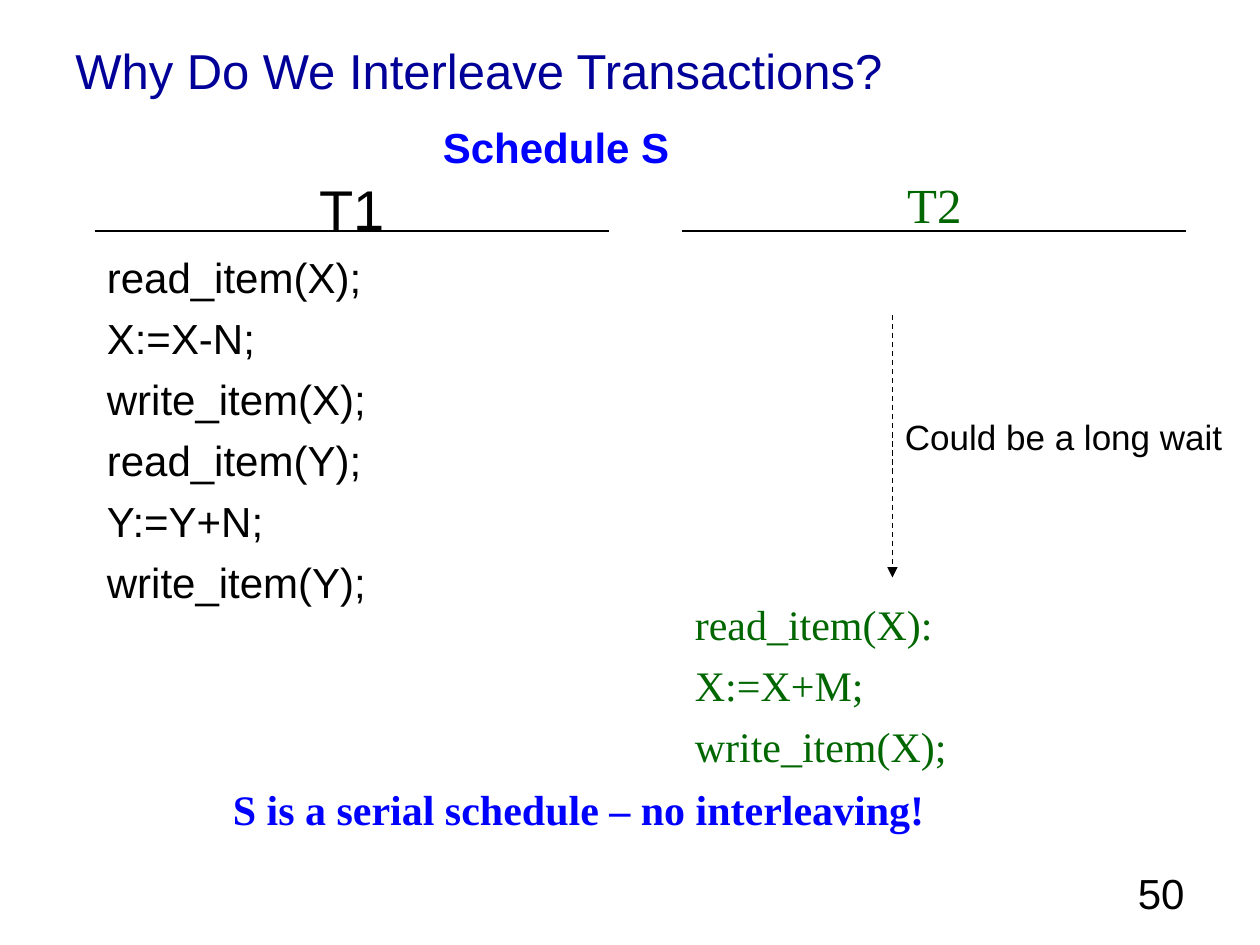
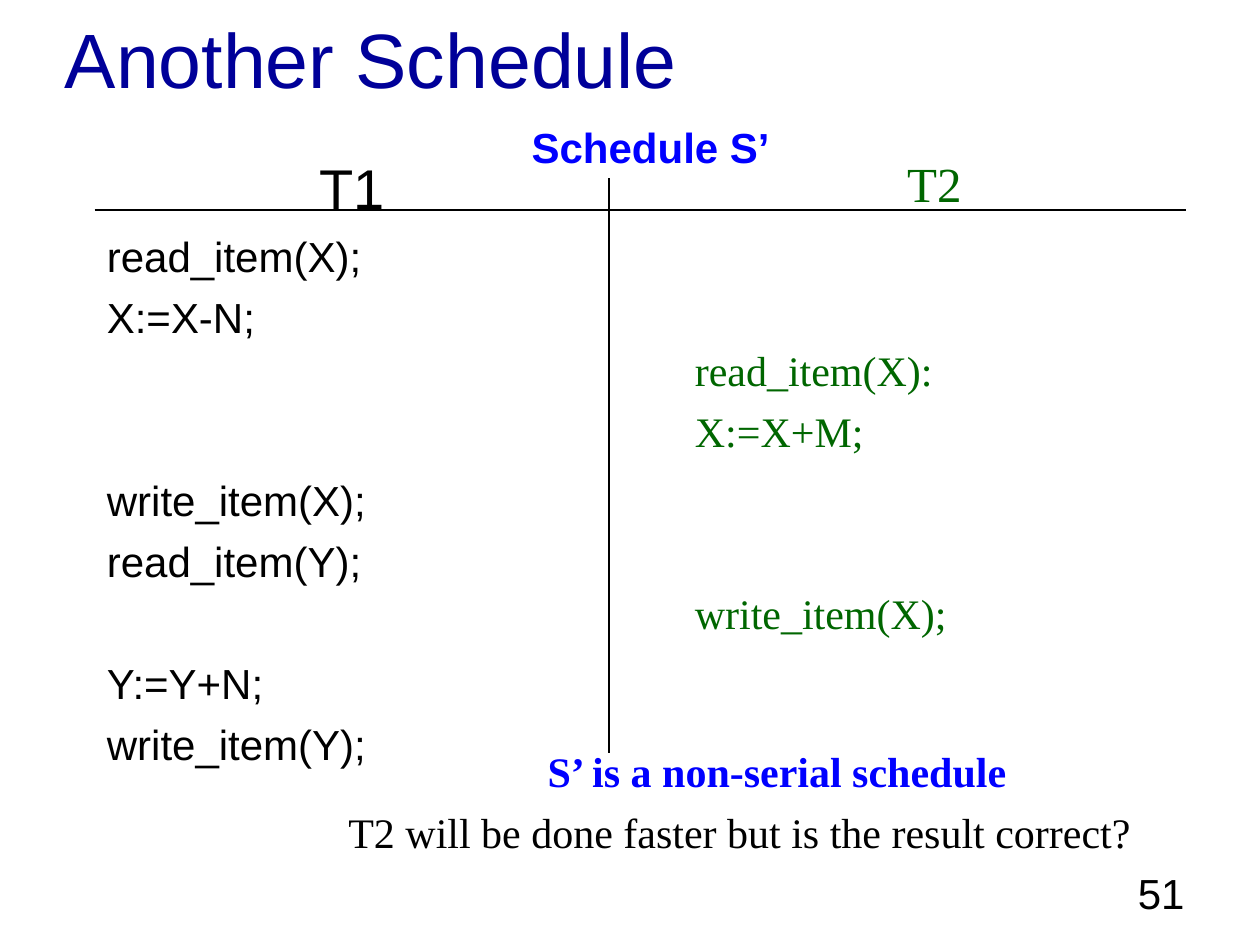
from lxml import etree
from pptx import Presentation
from pptx.dml.color import RGBColor
from pptx.enum.dml import MSO_LINE
from pptx.enum.shapes import MSO_CONNECTOR
from pptx.enum.text import MSO_ANCHOR, PP_ALIGN
from pptx.oxml.ns import qn
from pptx.util import Inches, Pt

LEFT, CENTER, RIGHT = PP_ALIGN.LEFT, PP_ALIGN.CENTER, PP_ALIGN.RIGHT
TOP, MIDDLE = MSO_ANCHOR.TOP, MSO_ANCHOR.MIDDLE
STRAIGHT, DASH = MSO_CONNECTOR.STRAIGHT, MSO_LINE.DASH
SANS, SERIF = "Arial", "Times New Roman"
NAVY, BLUE, GREEN, BLACK = "000099", "0000FF", "006600", "000000"

# The slide is a grid of 120 columns by 90 rows, each a twelfth of an inch.
CELL = Inches(1) / 12
T1_LEFT, T1_WIDTH = 9, 49
T2_LEFT, T2_WIDTH = 65, 48
T1_RIGHT, T2_RIGHT = T1_LEFT + T1_WIDTH, T2_LEFT + T2_WIDTH
CODE_SIZE = 24


def add_text(page, area, lines, font, anchor=TOP, spacing=None):
    """Each line is (text, size, colour, bold, alignment, points before)."""
    box = page.shapes.add_textbox(*(round(side * CELL) for side in area))
    frame = box.text_frame
    frame.word_wrap, frame.vertical_anchor = True, anchor
    for number, (text, size, colour, bold, align, before) in enumerate(lines):
        para = frame.add_paragraph() if number else frame.paragraphs[0]
        para.alignment, para.space_before = align, Pt(before)
        if spacing:
            para.line_spacing = spacing
        span = para.add_run()
        span.text = text
        span.font.name, span.font.size, span.font.bold = font, Pt(size), bold
        span.font.color.rgb = RGBColor.from_string(colour)


def add_line(page, ends, width=0.75, arrow=False):
    line = page.shapes.add_connector(STRAIGHT, *(round(end * CELL) for end in ends))
    line.line.color.rgb = RGBColor.from_string(BLACK)
    line.line.width = Pt(width)
    if arrow:
        line.line.dash_style = DASH
        etree.SubElement(line.line._get_or_add_ln(), qn("a:tailEnd"), type="triangle")
    etree.SubElement(line._element.spPr, qn("a:effectLst"))


deck = Presentation()
deck.slide_width, deck.slide_height = Inches(10), Inches(7.5)

# Steps are (statement, empty rows above it); row_size is the text size of an empty row.
schedules = [
    {"title": "Why Do We Interleave Transactions?", "title_area": (6, 3.6, 108, 6.1),
     "title_size": 28, "name": "Schedule S", "name_left": 41,
     "top": 16, "rule": 22, "rule_end": T1_RIGHT, "number": "50", "row_size": 28,
     "t1": [("read_item(X);", 0), ("X:=X-N;", 0), ("write_item(X);", 0),
            ("read_item(Y);", 0), ("Y:=Y+N;", 0), ("write_item(Y);", 0)],
     "t2": [("read_item(X):", 5), ("X:=X+M;", 0), ("write_item(X);", 0)]},
    {"title": "Another Schedule", "title_area": (5, 0, 108, 11),
     "title_size": 44, "name": "Schedule S’", "name_left": 49.45,
     "top": 14, "rule": 20, "rule_end": T2_LEFT, "number": "51", "row_size": 24,
     "t1": [("read_item(X);", 0), ("X:=X-N;", 0), ("write_item(X);", 2),
            ("read_item(Y);", 0), ("Y:=Y+N;", 1), ("write_item(Y);", 0)],
     "t2": [("read_item(X):", 2), ("X:=X+M;", 0), ("write_item(X);", 2)]},
]

pages = []
for schedule in schedules:
    page = deck.slides.add_slide(deck.slide_layouts[6])
    pages.append(page)
    add_text(page, schedule["title_area"],
             [(schedule["title"], schedule["title_size"], NAVY, False, LEFT, 0)],
             SANS, anchor=MIDDLE)
    add_text(page, (schedule["name_left"], 11, 28, 6),
             [(schedule["name"], 24, BLUE, True, LEFT, 0)], SANS)

    row_height = schedule["row_size"] * 1.45
    for key, head, size, left, width, height, font, colour in [
            ("t1", "T1", 32, T1_LEFT, T1_WIDTH, 59, SANS, BLACK),
            ("t2", "T2", 28, T2_LEFT, T2_WIDTH, 68, SERIF, GREEN)]:
        lines = [(head, size, colour, False, CENTER, size / 4)]
        for statement, empty_rows in schedule[key]:
            before = CODE_SIZE / 4 + empty_rows * row_height
            lines.append((statement, CODE_SIZE, colour, False, LEFT, before))
        add_text(page, (left, schedule["top"], width, height), lines, font)

    rule = schedule["rule"]
    add_line(page, (T1_LEFT, rule, schedule["rule_end"], rule))
    add_line(page, (T2_LEFT, rule, T2_RIGHT, rule))
    add_text(page, (86, 82, 28, 6.2),
             [(schedule["number"], 24, BLACK, False, RIGHT, 0)], SANS)

serial, interleaved = pages

add_line(serial, (85, 30, 85, 55), arrow=True)
add_text(serial, (85, 39, 35, 5.3),
         [("Could be a long wait", 20, BLACK, False, LEFT, 0)], SANS)
add_text(serial, (21, 74, 74, 6),
         [("S is a serial schedule – no interleaving!", 24, BLUE, True, LEFT, 15)], SERIF)

add_line(interleaved, (T1_RIGHT, 17, T1_RIGHT, 71.7), width=1)
add_text(interleaved, (32, 71.7, 85, 10.4),
         [("S’ is a non-serial schedule ", 24, BLUE, True, CENTER, 15),
          ("T2 will be done faster but is the result correct?", 24, BLACK, False, LEFT, 15)],
         SERIF, spacing=0.7)

deck.save("out.pptx")
